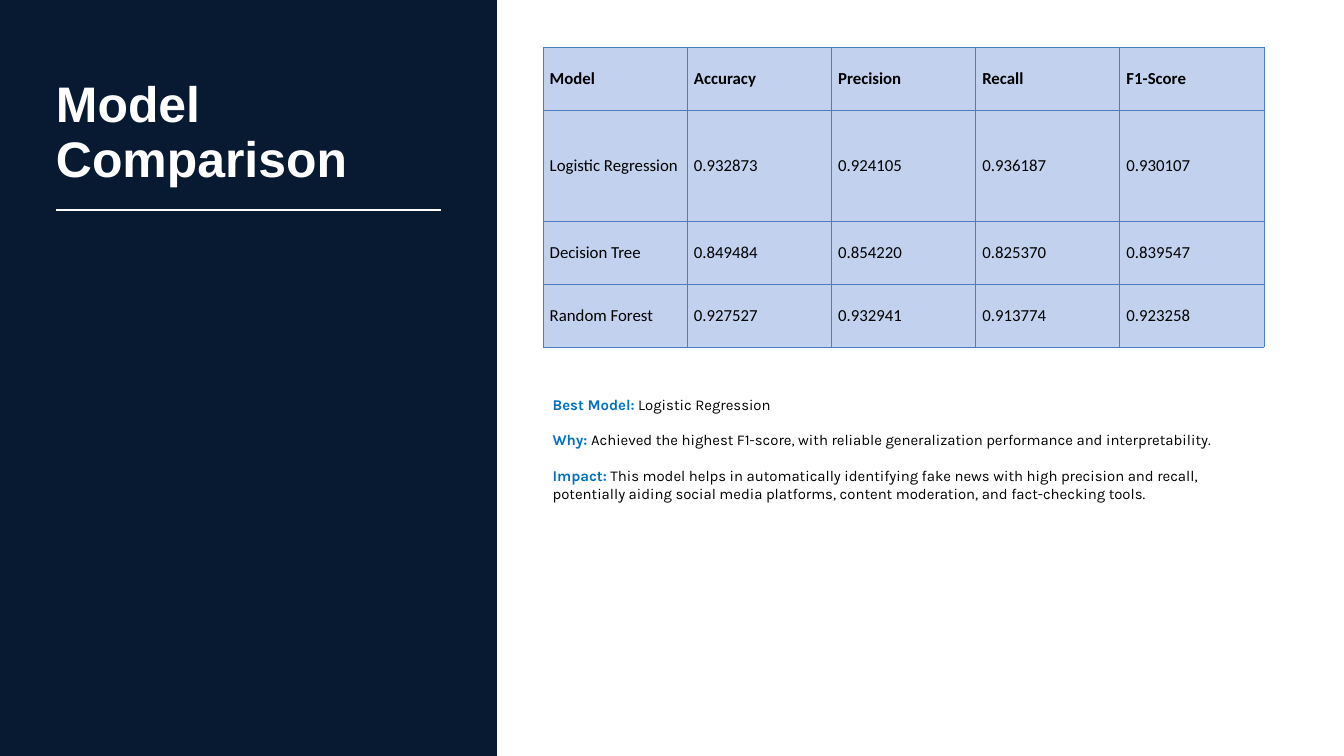
from lxml import etree
from pptx import Presentation, util as u
from pptx.dml.color import RGBColor
from pptx.enum import shapes, text
from pptx.oxml import ns

WIDTH, HEIGHT = 1344, 756
SCALE = u.Inches(20) / WIDTH

NAVY = RGBColor(0x08, 0x1A, 0x32)
WHITE = RGBColor(0xFF, 0xFF, 0xFF)
BLACK = RGBColor(0, 0, 0)
BLUE = RGBColor(0x00, 0x70, 0xC0)
CELL_FILL = RGBColor(0xC2, 0xD1, 0xED)
CELL_BORDER = RGBColor(0x4B, 0x7E, 0xBC)

SCORES = [
    ["Model", "Accuracy", "Precision", "Recall", "F1-Score"],
    ["Logistic Regression", "0.932873", "0.924105", "0.936187", "0.930107"],
    ["Decision Tree", "0.849484", "0.854220", "0.825370", "0.839547"],
    ["Random Forest", "0.927527", "0.932941", "0.913774", "0.923258"],
]
ROW_HEIGHTS = [63, 111, 63, 63]

FINDINGS = [
    ("Best Model:", " Logistic Regression"),
    ("Why:", " Achieved the highest F1-score, with reliable generalization "
     "performance and interpretability."),
    ("Impact:", " This model helps in automatically identifying fake news with high "
     "precision and recall, potentially aiding social media platforms, "
     "content moderation, and fact-checking tools."),
]


def px(length):
    return u.Emu(round(length * SCALE))


class SlideBuilder:
    title_font = "Arial"
    table_font = "Calibri"
    body_font = "Karla"

    def __init__(self, slide):
        self.slide = slide

    def panel(self, left, top, width, height, color):
        shape = self.slide.shapes.add_shape(
            shapes.MSO_SHAPE.RECTANGLE, px(left), px(top), px(width), px(height))
        shape.shadow.inherit = False
        shape.fill.solid()
        shape.fill.fore_color.rgb = color
        shape.line.fill.background()

    def rule(self, left, right, y, color, weight):
        connector = self.slide.shapes.add_connector(
            shapes.MSO_CONNECTOR.STRAIGHT, px(left), px(y), px(right), px(y))
        connector.line.color.rgb = color
        connector.line.width = u.Pt(weight)
        etree.SubElement(connector._element.spPr, ns.qn("a:effectLst"))

    def run(self, paragraph, words, font, size, color, bold=False):
        run = paragraph.add_run()
        run.text = words
        run.font.name = font
        run.font.size = u.Pt(size)
        run.font.color.rgb = color
        run.font.bold = bold

    def text_frame(self, left, top, width, height):
        shape = self.slide.shapes.add_textbox(px(left), px(top), px(width), px(height))
        frame = shape.text_frame
        frame.word_wrap = True
        frame.auto_size = text.MSO_AUTO_SIZE.SHAPE_TO_FIT_TEXT
        return frame

    def title(self, left, top, width, height, words):
        frame = self.text_frame(left, top, width, height)
        frame.margin_left = frame.margin_right = 0
        frame.margin_top = frame.margin_bottom = 0
        paragraph = frame.paragraphs[0]
        paragraph.line_spacing = u.Pt(58.9)
        self.run(paragraph, words, self.title_font, 53.5, WHITE, bold=True)

    def findings(self, left, top, width, height, items):
        frame = self.text_frame(left, top, width, height)
        for index, (label, words) in enumerate(items):
            paragraph = frame.add_paragraph() if index else frame.paragraphs[0]
            if index:
                paragraph.space_before = u.Pt(19)
            self.run(paragraph, label, self.body_font, 16, BLUE, bold=True)
            self.run(paragraph, words, self.body_font, 16, BLACK)

    def cell_border(self, cell):
        properties = cell._tc.get_or_add_tcPr()
        for side in ("lnL", "lnR", "lnT", "lnB"):
            line = etree.SubElement(properties, ns.qn(f"a:{side}"), w=str(u.Pt(0.75)))
            fill = etree.SubElement(line, ns.qn("a:solidFill"))
            etree.SubElement(fill, ns.qn("a:srgbClr"), val=str(CELL_BORDER))

    def table(self, left, top, width, row_heights, rows):
        column_count = len(rows[0])
        table = self.slide.shapes.add_table(
            len(rows), column_count, px(left), px(top), px(width),
            px(sum(row_heights))).table
        table.first_row = table.horz_banding = False
        for column in table.columns:
            column.width = px(width / column_count)
        for row_index, (values, height) in enumerate(zip(rows, row_heights)):
            table.rows[row_index].height = px(height)
            for column_index, value in enumerate(values):
                cell = table.cell(row_index, column_index)
                self.cell_border(cell)
                cell.fill.solid()
                cell.fill.fore_color.rgb = CELL_FILL
                cell.vertical_anchor = text.MSO_ANCHOR.MIDDLE
                self.run(cell.text_frame.paragraphs[0], value, self.table_font, 18,
                         BLACK, bold=row_index == 0)


def main():
    presentation = Presentation()
    presentation.slide_width = px(WIDTH)
    presentation.slide_height = px(HEIGHT)
    slide = presentation.slides.add_slide(presentation.slide_layouts[6])

    builder = SlideBuilder(slide)
    builder.panel(-24, -9, 521, 773, NAVY)
    builder.title(56, 78, 385, 114, "Model Comparison")
    builder.rule(56, 441, 210, WHITE, 3)
    builder.table(543, 47, 721, ROW_HEIGHTS, SCORES)
    builder.findings(546, 392, 718, 116, FINDINGS)

    presentation.save("out.pptx")


if __name__ == "__main__":
    main()
